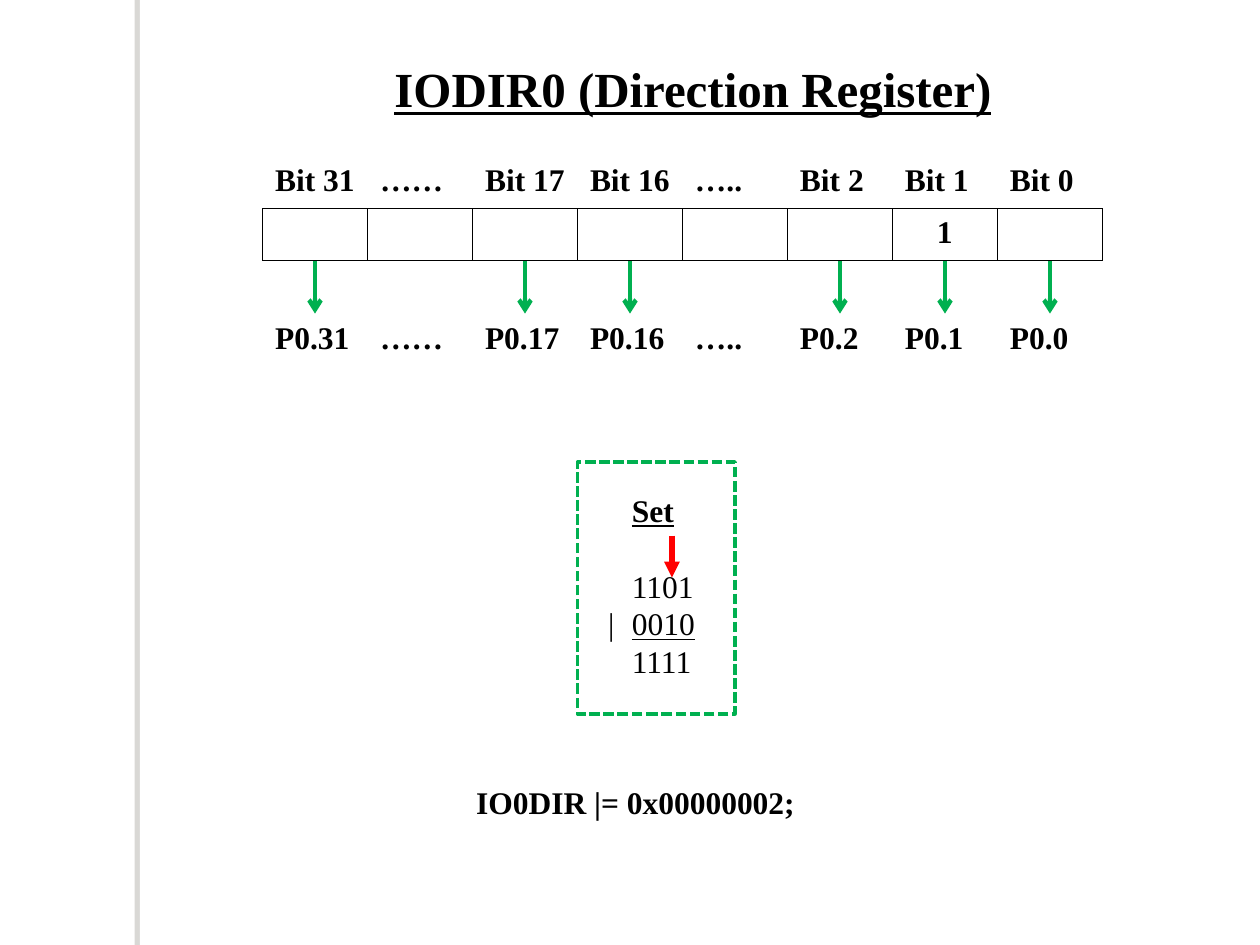
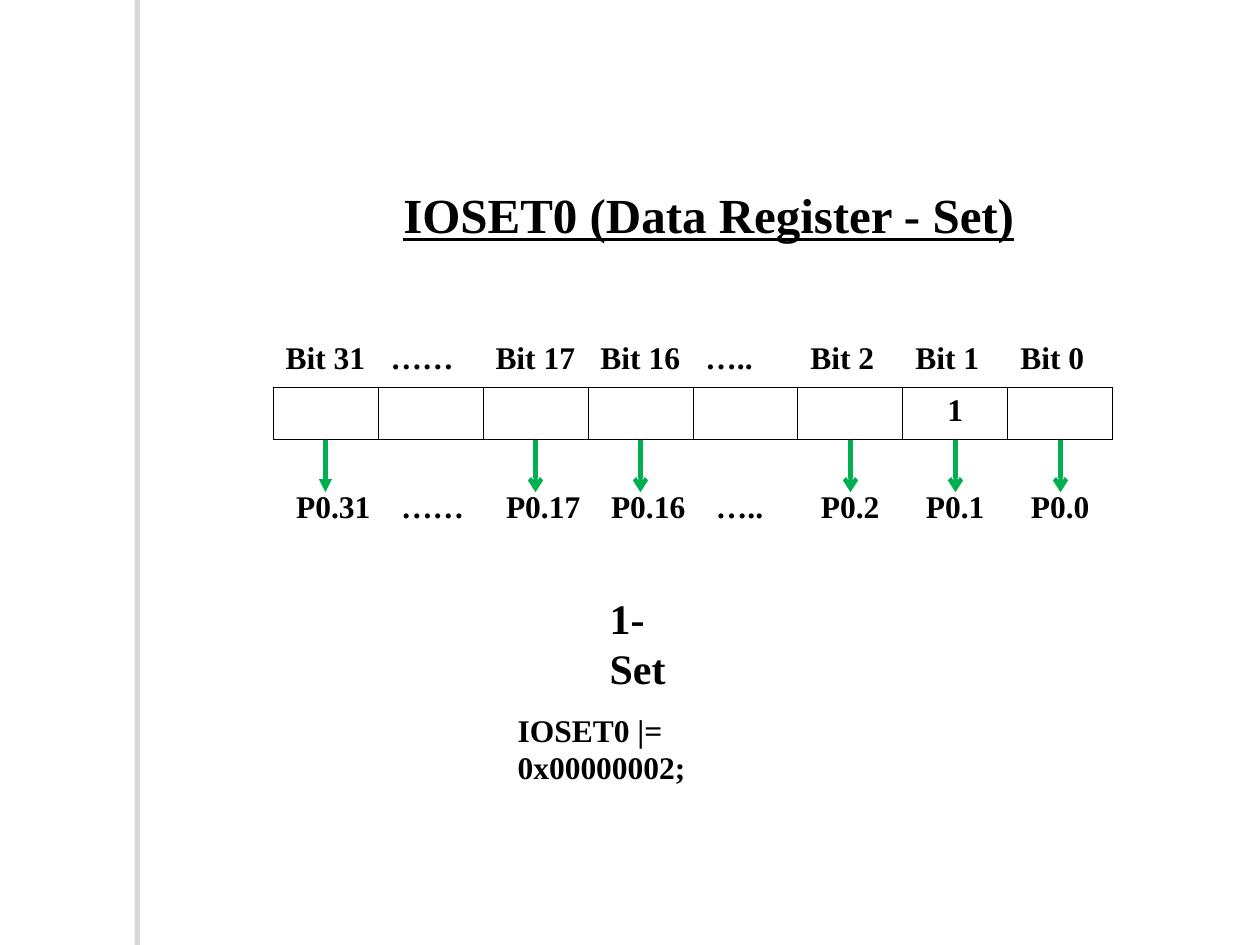
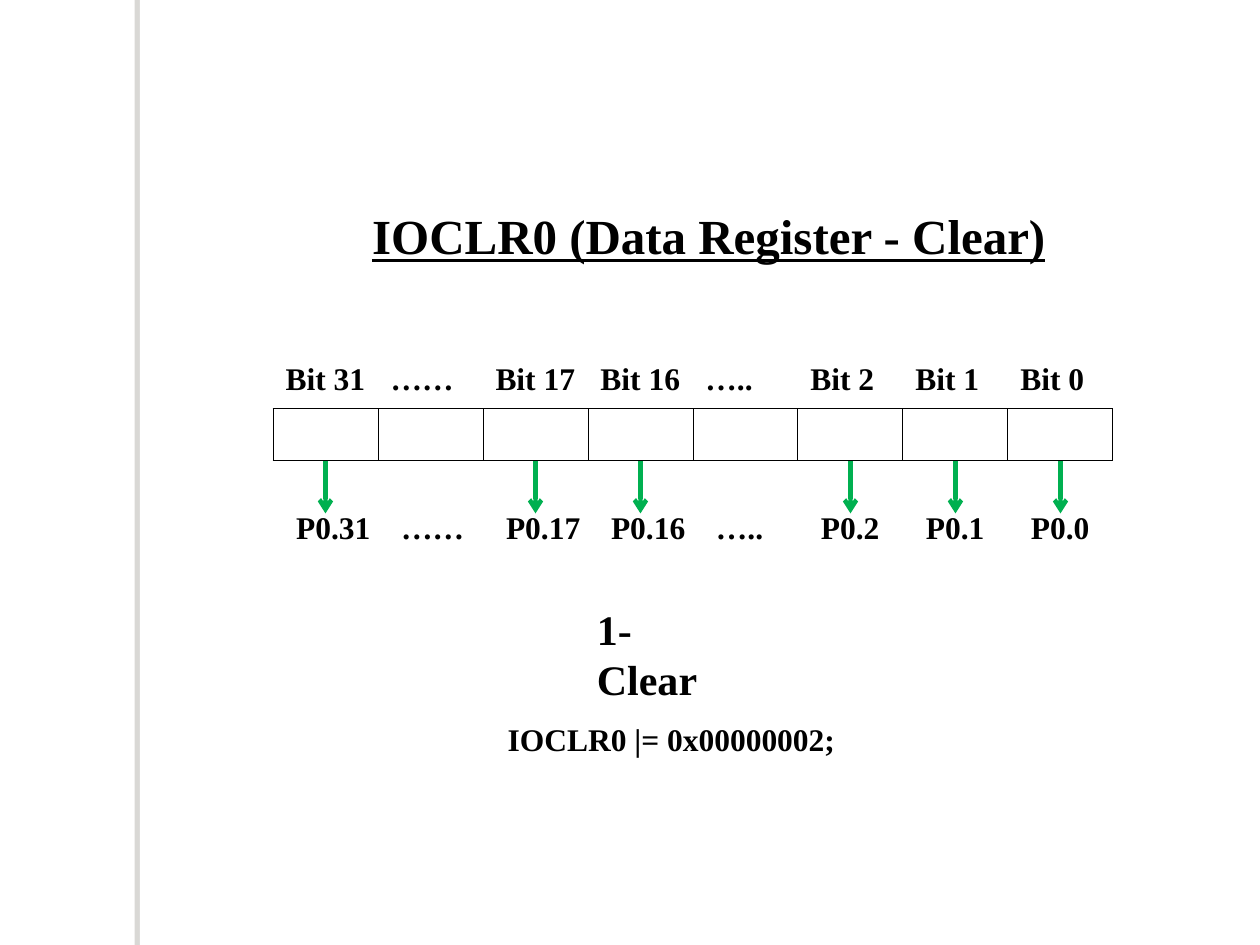
import lxml.etree
import pptx
import pptx.dml.color
import pptx.enum.dml
import pptx.enum.shapes
import pptx.enum.text
import pptx.oxml.ns
import pptx.util

Pt = pptx.util.Pt
FONT = "Times New Roman"
BLACK, WHITE, GREEN, RED, SHADE = "000000", "FFFFFF", "00B050", "FF0000", "706B5F"
COL, ROW = 60, 29.7
BITS = ["Bit 31", "……", "Bit 17", "Bit 16", "…..", "Bit 2", "Bit 1", "Bit 0"]
PINS = ["P0.31", "……", "P0.17", "P0.16", "…..", "P0.2", "P0.1", "P0.0"]
WIRED = [i for i, pin in enumerate(PINS) if pin.startswith("P")]


def color(code):
    return pptx.dml.color.RGBColor.from_string(code)


def node(parent, tag, **attrs):
    return lxml.etree.SubElement(parent, pptx.oxml.ns.qn("a:" + tag), attrs)


class Deck:
    def __init__(self):
        self.file = pptx.Presentation()
        self.file.slide_width, self.file.slide_height = Pt(720), Pt(540)
        self.slide = None

    def run(self, para, text, size=18, bold=True, under=False):
        font_run = para.add_run()
        font_run.text = text
        font = font_run.font
        font.name, font.size, font.bold, font.underline = FONT, Pt(size), bold, under
        font.color.rgb = color(BLACK)

    def start(self, title, left, top, width):
        self.slide = self.file.slides.add_slide(self.file.slide_layouts[5])
        self.band()
        head = self.slide.shapes.title
        head.left, head.top, head.width, head.height = map(Pt, (left, top, width, 41))
        frame = head.text_frame
        frame.word_wrap = True
        frame.auto_size = pptx.enum.text.MSO_AUTO_SIZE.NONE
        frame.vertical_anchor = pptx.enum.text.MSO_ANCHOR.TOP
        para = frame.paragraphs[0]
        para.alignment = pptx.enum.text.PP_ALIGN.CENTER
        self.run(para, title, 28, under=True)

    def rect(self, left, top, width, height):
        box = self.slide.shapes.add_shape(
            pptx.enum.shapes.MSO_SHAPE.RECTANGLE, *map(Pt, (left, top, width, height)))
        box.shadow.inherit = False
        return box

    def band(self):
        box = self.rect(80, 0, 5.76, 540)
        box.fill.solid()
        box.fill.fore_color.rgb = color(WHITE)
        box.line.fill.background()
        effects = box.element.spPr.find(pptx.oxml.ns.qn("a:effectLst"))
        shadow = node(effects, "outerShdw", blurRad="0", dist=str(Pt(3)), dir="10800000",
                      algn="tl", rotWithShape="0")
        node(node(shadow, "srgbClr", val=SHADE), "alpha", val="25000")

    def frame(self, left, top, width, height):
        box = self.rect(left, top, width, height)
        box.fill.background()
        box.line.color.rgb = color(GREEN)
        box.line.width = Pt(2)
        box.line.dash_style = pptx.enum.dml.MSO_LINE.SQUARE_DOT

    def box(self, left, top, width, height, wrap=False):
        frame = self.slide.shapes.add_textbox(*map(Pt, (left, top, width, height))).text_frame
        frame.word_wrap = wrap
        return frame

    def note(self, text, left, top, width, size=18):
        frame = self.box(left, top, width, size * 1.2 + 7.2)
        self.run(frame.paragraphs[0], text, size)

    def arrow(self, x, top, length, code=GREEN, width=2.5, tip="arrow"):
        line = self.slide.shapes.add_connector(
            pptx.enum.shapes.MSO_CONNECTOR.STRAIGHT, *map(Pt, (x, top, x, top + length)))
        line.line.color.rgb = color(code)
        line.line.width = Pt(width)
        props = line.element.spPr
        node(props.find(pptx.oxml.ns.qn("a:ln")), "tailEnd", type=tip)
        node(props, "effectLst")

    def edge(self, cell, ruled):
        props = cell._tc.get_or_add_tcPr()
        for side in ("lnL", "lnR", "lnT", "lnB"):
            line = node(props, side, w=str(Pt(0.45)))
            if ruled:
                node(node(line, "solidFill"), "srgbClr", val=BLACK)
            else:
                node(line, "noFill")

    def row(self, texts, left, top, ruled=False):
        table = self.slide.shapes.add_table(
            1, len(texts), *map(Pt, (left, top, COL * len(texts), ROW))).table
        table.first_row = table.horz_banding = False
        for col, text in enumerate(texts):
            table.columns[col].width = Pt(COL)
            cell = table.cell(0, col)
            self.edge(cell, ruled)
            cell.fill.background()
            if text:
                para = cell.text_frame.paragraphs[0]
                if ruled:
                    para.alignment = pptx.enum.text.PP_ALIGN.CENTER
                self.run(para, text)

    def bits(self, left, top, value, shift=6, drop=55.4, first="arrow"):
        cells = [value if bit == "Bit 1" else "" for bit in BITS]
        self.row(cells, left, top, ruled=True)
        self.row(BITS, left, top - ROW)
        for i in WIRED:
            self.arrow(left + COL * (i + 0.5), top + 30, 30, tip="arrow" if i else first)
        self.row(PINS, left + shift, top + drop)

    def sum(self, left, top):
        frame = self.box(left, top, 66, 115.2, wrap=True)
        lines = [("", "Set", True, True), ("", "1101", False, False),
                 ("|", "0010", False, True), ("", "1111", False, False)]
        for i, (sign, text, bold, under) in enumerate(lines):
            para = frame.add_paragraph() if i else frame.paragraphs[0]
            props = para._p.get_or_add_pPr()
            props.set("marL", str(Pt(13.5)))
            props.set("indent", str(Pt(-13.5 if sign else 0)))
            if i == 1:
                para.space_before = Pt(21.5)
            if sign:
                self.run(para, sign + "\t", bold=False)
            self.run(para, text, bold=bold, under=under)


def main():
    deck = Deck()

    deck.start("IODIR0 (Direction Register)", 138, 30, 516)
    deck.bits(150, 119.2, "1", shift=0, drop=61)
    deck.sum(340.5, 277.2)
    deck.arrow(384, 306, 24, RED, 3, "triangle")
    deck.frame(330, 264, 90, 144)
    deck.note("IO0DIR |= 0x00000002;", 265, 444.2, 196.6)

    deck.start("IOSET0 (Data Register - Set)", 120, 102, 570)
    deck.bits(156, 221.3, "1", first="triangle")
    deck.note("1- Set", 341.3, 334.8, 72, 24)
    deck.note("IOSET0 |= 0x00000002;", 288.7, 402.5, 197.3)

    deck.start("IOCLR0 (Data Register - Clear)", 120, 114, 570)
    deck.bits(156, 233.4, "")
    deck.note("1- Clear", 334, 341.3, 97.2, 24)
    deck.note("IOCLR0 |= 0x00000002;", 283, 408.2, 201.6)

    deck.file.save("out.pptx")


if __name__ == "__main__":
    main()
